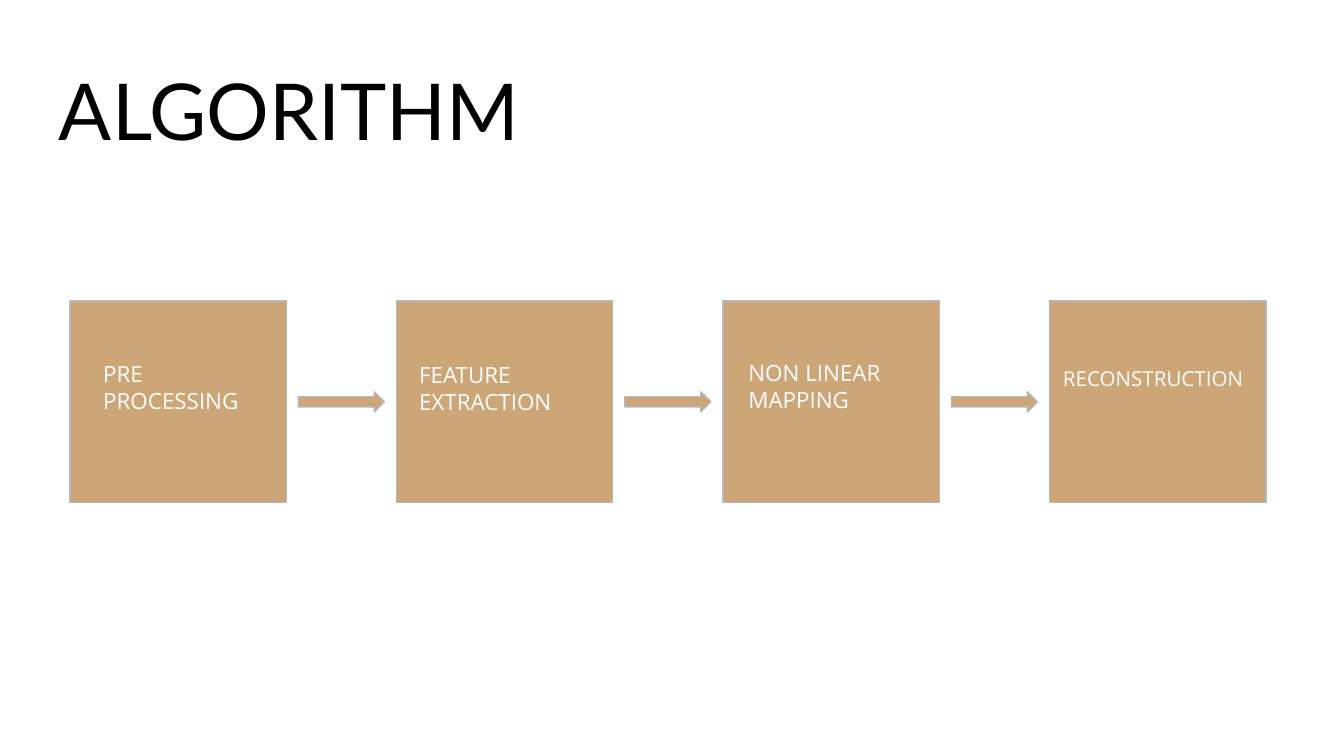
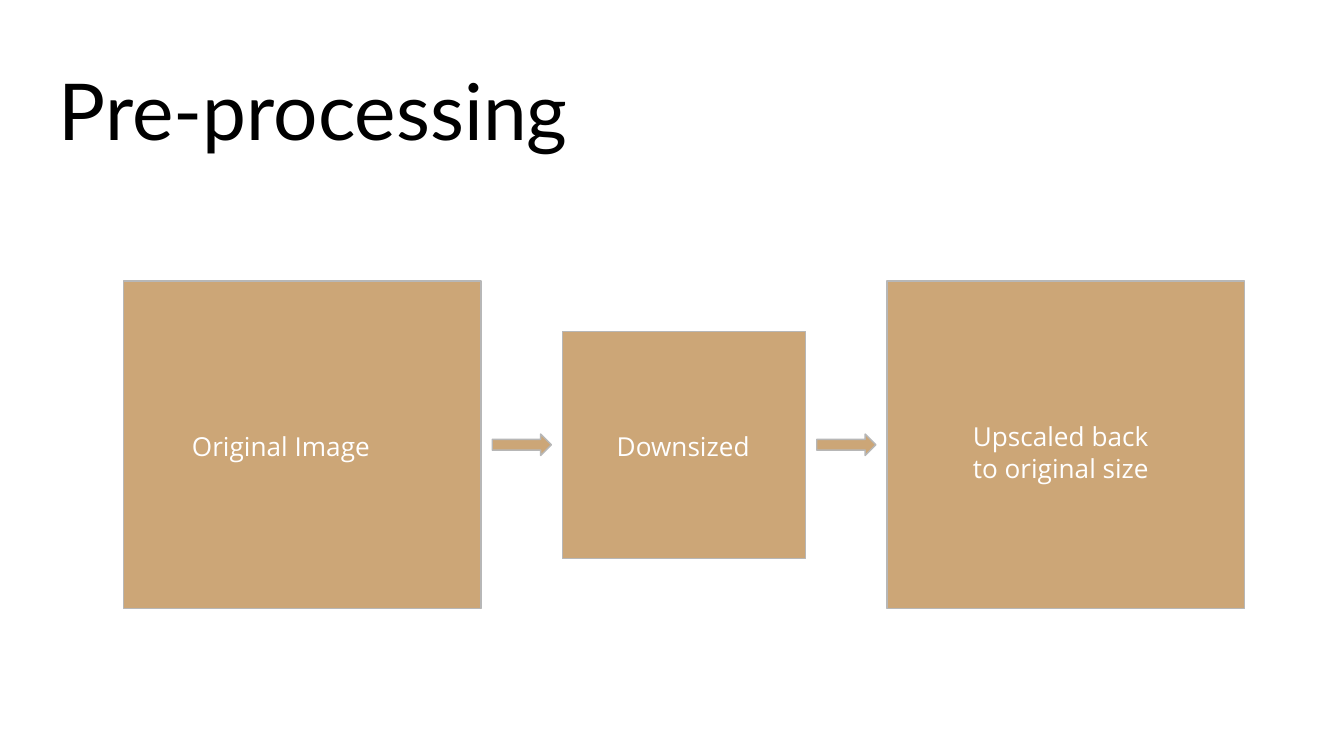
from dataclasses import dataclass

from pptx import Presentation
from pptx.dml.color import RGBColor
from pptx.enum.shapes import MSO_SHAPE
from pptx.enum.text import MSO_ANCHOR, PP_ALIGN
from pptx.util import Inches, Pt

RECT, ARROW = MSO_SHAPE.RECTANGLE, MSO_SHAPE.RIGHT_ARROW
TOP, BOTTOM = MSO_ANCHOR.TOP, MSO_ANCHOR.BOTTOM
LEFT = PP_ALIGN.LEFT


@dataclass(frozen=True)
class Theme:
    title_font: str = "Lato"
    body_font: str = "Open Sans"
    title_size: int = 42
    ink: str = "000000"
    paper: str = "FFFFFF"
    tan: str = "CCA677"
    outline: str = "B7B7B7"
    line_width: float = 0.75
    inset: float = 0.1


THEME = Theme()
SLIDE_WIDTH = 10
SLIDE_HEIGHT = SLIDE_WIDTH * 9 / 16
TITLE_AREA = (0.34, 0.35, 9.32, 0.91)
LARGE, SMALL = (2.66, 2.44), (1.81, 1.69)

# Each flow runs from left to right on one centre line, with equal gaps.
# boxes: (width, height); labels: (lines, area, type size)
FLOWS = [
    {
        "title": "ALGORITHM",
        "left": 0.52, "right": 9.42, "middle": 2.99,
        "boxes": [(1.61, 1.5)] * 4,
        "arrow": (0.64, 0.15),
        "labels": [
            (["PRE", "PROCESSING"], (0.67, 2.58, 1.36, 0.78), 12),
            (["FEATURE", "EXTRACTION"], (3.02, 2.59, 1.5, 0.78), 12),
            (["NON LINEAR", "MAPPING"], (5.47, 2.57, 1.4, 0.83), 12),
            (["RECONSTRUCTION"], (7.81, 2.63, 1.61, 0.73), 11),
        ],
    },
    {
        "title": "Pre-processing",
        "left": 0.92, "right": 9.26, "middle": 3.31,
        "boxes": [LARGE, SMALL, LARGE],
        "arrow": (0.44, 0.16),
        "labels": [
            (["Original Image"], (1.33, 3.1, 1.92, 1.15), 14),
            (["Downsized"], (4.49, 3.1, 1.48, 0.3), 14),
            (["Upscaled back to original size"], (7.14, 3.03, 1.73, 0.99), 14),
        ],
    },
]


def add_text(s, lines, area, font, size, color, anchor=TOP):
    tf = s.shapes.add_textbox(*map(Inches, area)).text_frame
    tf.word_wrap = True
    tf.vertical_anchor = anchor
    tf.margin_left = tf.margin_right = Inches(THEME.inset)
    tf.margin_top = tf.margin_bottom = Inches(THEME.inset)
    tf.text = "\n".join(lines)
    for p in tf.paragraphs:
        p.alignment = LEFT
        for r in p.runs:
            r.font.name = font
            r.font.size = Pt(size)
            r.font.color.rgb = RGBColor.from_string(color)


def add_block(s, kind, left, middle, size):
    """Add a tan shape centred vertically on the line at middle."""
    width, height = size
    sp = s.shapes.add_shape(kind, Inches(left), Inches(middle - height / 2),
                            Inches(width), Inches(height))
    sp.shadow.inherit = False
    sp.fill.solid()
    sp.fill.fore_color.rgb = RGBColor.from_string(THEME.tan)
    sp.line.color.rgb = RGBColor.from_string(THEME.outline)
    sp.line.width = Pt(THEME.line_width)


def add_flow(prs, flow):
    s = prs.slides.add_slide(prs.slide_layouts[6])
    s.background.fill.solid()
    s.background.fill.fore_color.rgb = RGBColor.from_string(THEME.paper)
    add_text(s, [flow["title"]], TITLE_AREA, THEME.title_font,
             THEME.title_size, THEME.ink, BOTTOM)

    left, middle, boxes = flow["left"], flow["middle"], flow["boxes"]
    free = flow["right"] - left - sum(width for width, _ in boxes)
    gap = free / (len(boxes) - 1)
    for i, box in enumerate(boxes):
        if i:
            arrow_left = left - (gap + flow["arrow"][0]) / 2
            add_block(s, ARROW, arrow_left, middle, flow["arrow"])
        add_block(s, RECT, left, middle, box)
        left += box[0] + gap

    for lines, area, size in flow["labels"]:
        add_text(s, lines, area, THEME.body_font, size, THEME.paper)


def main():
    prs = Presentation()
    prs.slide_width = Inches(SLIDE_WIDTH)
    prs.slide_height = Inches(SLIDE_HEIGHT)
    for flow in FLOWS:
        add_flow(prs, flow)
    prs.save("out.pptx")


if __name__ == "__main__":
    main()
